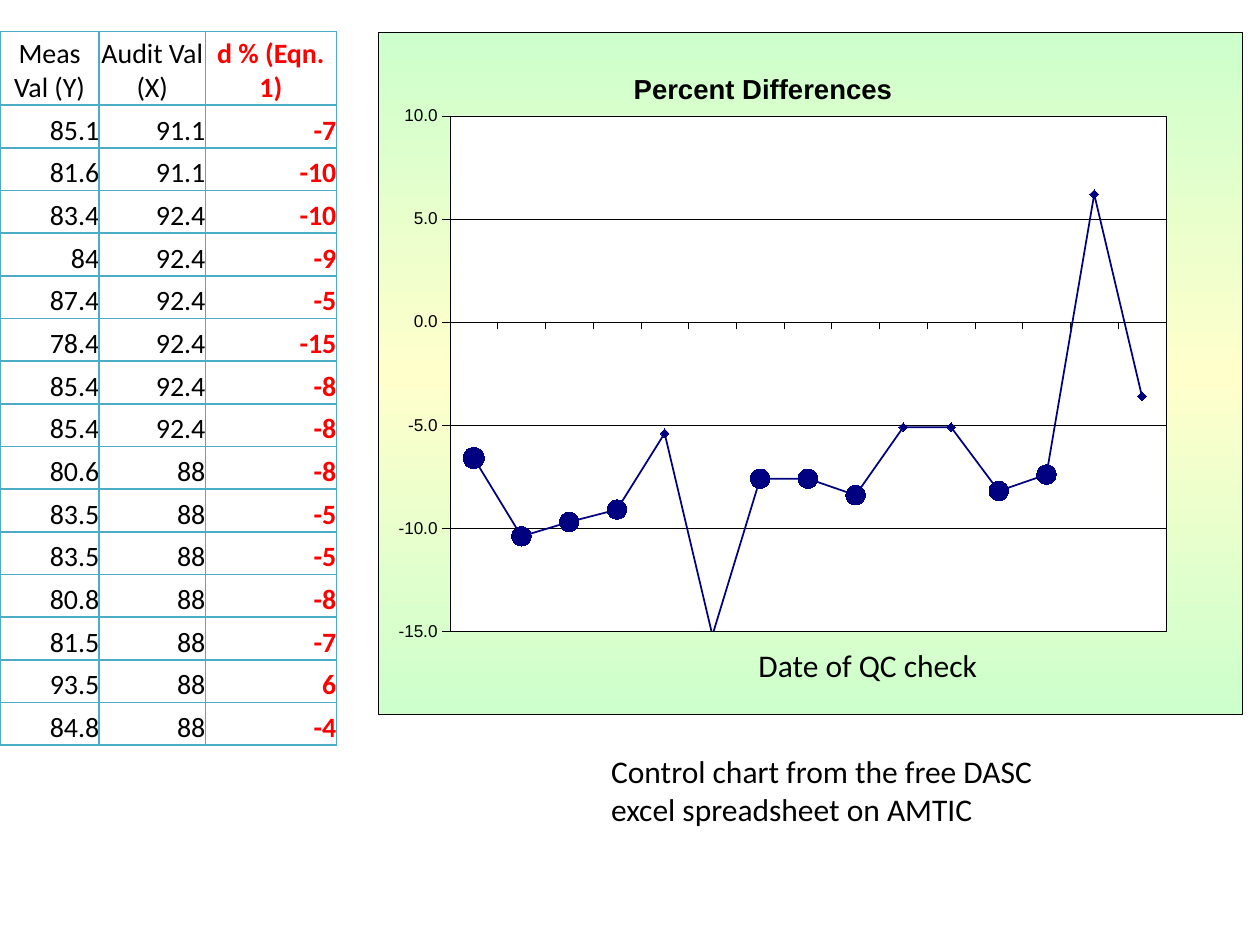
from lxml import etree
from pptx import Presentation
from pptx.chart.data import CategoryChartData
from pptx.dml.color import RGBColor
from pptx.enum.chart import XL_CHART_TYPE, XL_MARKER_STYLE, XL_TICK_LABEL_POSITION, XL_TICK_MARK
from pptx.enum.text import MSO_ANCHOR, PP_ALIGN
from pptx.oxml import parse_xml
from pptx.util import Cm, Pt

BLACK = RGBColor(0x00, 0x00, 0x00)
RED = RGBColor(0xFF, 0x00, 0x00)
NAVY = RGBColor(0x00, 0x00, 0x80)
TEAL = RGBColor(0x4B, 0xAC, 0xC6)
WHITE = RGBColor(0xFF, 0xFF, 0xFF)
GREEN = RGBColor(0xCC, 0xFF, 0xCC)
YELLOW = RGBColor(0xFF, 0xFF, 0xCC)

LEFT, CENTER, RIGHT = PP_ALIGN.LEFT, PP_ALIGN.CENTER, PP_ALIGN.RIGHT
BOTTOM = MSO_ANCHOR.BOTTOM
LINE_MARKERS = XL_CHART_TYPE.LINE_MARKERS
DIAMOND, CIRCLE = XL_MARKER_STYLE.DIAMOND, XL_MARKER_STYLE.CIRCLE
NO_LABELS, LOW = XL_TICK_LABEL_POSITION.NONE, XL_TICK_LABEL_POSITION.LOW
TICK_OUT, TICK_NONE = XL_TICK_MARK.OUTSIDE, XL_TICK_MARK.NONE

A = "http://schemas.openxmlformats.org/drawingml/2006/main"
C = "http://schemas.openxmlformats.org/drawingml/2006/chart"
NAMESPACES = f'xmlns:a="{A}" xmlns:c="{C}"'

MEASURED = [85.1, 81.6, 83.4, 84, 87.4, 78.4, 85.4, 85.4, 80.6, 83.5, 83.5, 80.8, 81.5, 93.5, 84.8]
AUDIT = [91.1] * 2 + [92.4] * 6 + [88] * 7
DIFFERENCES = [(y - x) / x * 100 for y, x in zip(MEASURED, AUDIT)]


def write(frame, text, size=18, color=BLACK, bold=False, align=LEFT, font="Calibri"):
    paragraph = frame.paragraphs[0]
    paragraph.alignment = align
    run = paragraph.add_run()
    run.text = text
    run.font.name, run.font.size = font, Pt(size)
    run.font.color.rgb, run.font.bold = color, bold


def manual_layout(x, y, size=""):
    return parse_xml(
        f'<c:layout {NAMESPACES}><c:manualLayout>{"<c:layoutTarget val=" + chr(34) + "inner" + chr(34) + "/>" if size else ""}'
        f'<c:xMode val="edge"/><c:yMode val="edge"/><c:x val="{x}"/><c:y val="{y}"/>{size}'
        '</c:manualLayout></c:layout>')


prs = Presentation()
prs.slide_width, prs.slide_height = Cm(25.4), Cm(19.05)
slide = prs.slides.add_slide(prs.slide_layouts[6])

# Table of measured and audit values
rows = [("Meas Val (Y)", "Audit Val (X)", "d % (Eqn. 1)")]
rows += [(str(y), str(x), f"{d:.0f}") for y, x, d in zip(MEASURED, AUDIT, DIFFERENCES)]
audits = slide.shapes.add_table(len(rows), 3, 0, Cm(0.64), Cm(6.78), Cm(14.4)).table
audits.first_row = audits.horz_banding = False
for column, width in zip(audits.columns, (2.0, 2.14, 2.64)):
    column.width = Cm(width)
for r, values in enumerate(rows):
    audits.rows[r].height = Cm(0.86 if r else 1.48)
    for c, value in enumerate(values):
        cell = audits.cell(r, c)
        cell.margin_left = cell.margin_right = cell.margin_top = cell.margin_bottom = 0
        cell.vertical_anchor = BOTTOM
        write(cell.text_frame, value, size=16, color=RED if c == 2 else BLACK,
              bold=c == 2, align=RIGHT if r else CENTER)
        properties = cell._tc.get_or_add_tcPr()
        for side in ("lnL", "lnR", "lnT", "lnB"):
            edge = etree.SubElement(properties, f"{{{A}}}{side}", w=str(Pt(1)))
            solid = etree.SubElement(edge, f"{{{A}}}solidFill")
            etree.SubElement(solid, f"{{{A}}}srgbClr", val=str(TEAL))
        cell.fill.background()

# Control chart of percent differences
chart_data = CategoryChartData(number_format="0.0")
chart_data.categories = [str(n + 1) for n in range(len(DIFFERENCES))]
chart_data.add_series("Series 1", [round(d, 1) for d in DIFFERENCES])
control = slide.shapes.add_chart(LINE_MARKERS, Cm(7.62), Cm(0.64), Cm(17.42), Cm(13.77), chart_data).chart
control.has_legend = False
control.font.name, control.font.size, control.font.color.rgb = "Arial", Pt(9.8), BLACK
control.has_title = True
write(control.chart_title.text_frame, "Percent Differences", size=15.7, bold=True,
      align=CENTER, font="Arial")

# Axes
dates, percents = control.category_axis, control.value_axis
dates.tick_label_position = NO_LABELS
percents.tick_label_position = LOW
percents.minimum_scale, percents.maximum_scale, percents.major_unit = -15, 10, 5
percents.tick_labels.number_format = "0.0"
percents.tick_labels.number_format_is_linked = False
percents.has_major_gridlines = True
for axis in (dates, percents):
    axis.major_tick_mark, axis.minor_tick_mark = TICK_OUT, TICK_NONE
for line in (dates.format.line, percents.format.line, percents.major_gridlines.format.line):
    line.color.rgb, line.width = BLACK, Pt(0.25)

# Series: large circles mark the runs of strongly negative differences
plot = control.plots[0]
plot.vary_by_categories = False
series = plot.series[0]
series.smooth = False
series.format.line.color.rgb, series.format.line.width = NAVY, Pt(1)
markers = [(series.marker, DIAMOND, 5)]
for n, d in enumerate(DIFFERENCES):
    if -15 < d < -6.5:
        markers.append((series.points[n].marker, CIRCLE, 12 if n == 0 else 11))
for marker, style, size in markers:
    marker.style, marker.size = style, size
    marker.format.fill.solid()
    marker.format.fill.fore_color.rgb = NAVY
    marker.format.line.color.rgb = NAVY

# Chart layout, backgrounds and borders
space = control._chartSpace
title = space.find(f".//{{{C}}}title")
plot_area = space.find(f".//{{{C}}}plotArea")
for part in (title, plot_area):
    for old_layout in part.findall(f"{{{C}}}layout"):
        part.remove(old_layout)
title.find(f"{{{C}}}tx").addnext(manual_layout(0.29, 0.05))
plot_area.insert(0, manual_layout(0.083, 0.123, '<c:w val="0.829"/><c:h val="0.755"/>'))
border = f'<a:ln w="{Pt(0.25)}"><a:solidFill><a:srgbClr val="{BLACK}"/></a:solidFill></a:ln>'
stops = "".join(f'<a:gs pos="{position}"><a:srgbClr val="{color}"/></a:gs>'
                for position, color in ((0, GREEN), (50000, YELLOW), (100000, GREEN)))
plot_area.append(parse_xml(
    f'<c:spPr {NAMESPACES}><a:solidFill><a:srgbClr val="{WHITE}"/></a:solidFill>{border}</c:spPr>'))
space.find(f"{{{C}}}txPr").addprevious(parse_xml(
    f'<c:spPr {NAMESPACES}><a:gradFill><a:gsLst>{stops}</a:gsLst>'
    f'<a:lin ang="5400000" scaled="0"/></a:gradFill>{border}</c:spPr>'))
if space.find(f"{{{C}}}roundedCorners") is None:
    space.find(f"{{{C}}}date1904").addnext(parse_xml(f'<c:roundedCorners {NAMESPACES} val="0"/>'))

# Caption and axis label
for text, left, top, width, height in (
        ("Control chart from the free DASC excel spreadsheet on AMTIC", 12.07, 15.04, 9.96, 1.8),
        ("Date of QC check", 15.04, 12.9, 5.51, 1.02)):
    label = slide.shapes.add_textbox(Cm(left), Cm(top), Cm(width), Cm(height)).text_frame
    label.word_wrap = True
    write(label, text)

prs.save("out.pptx")
